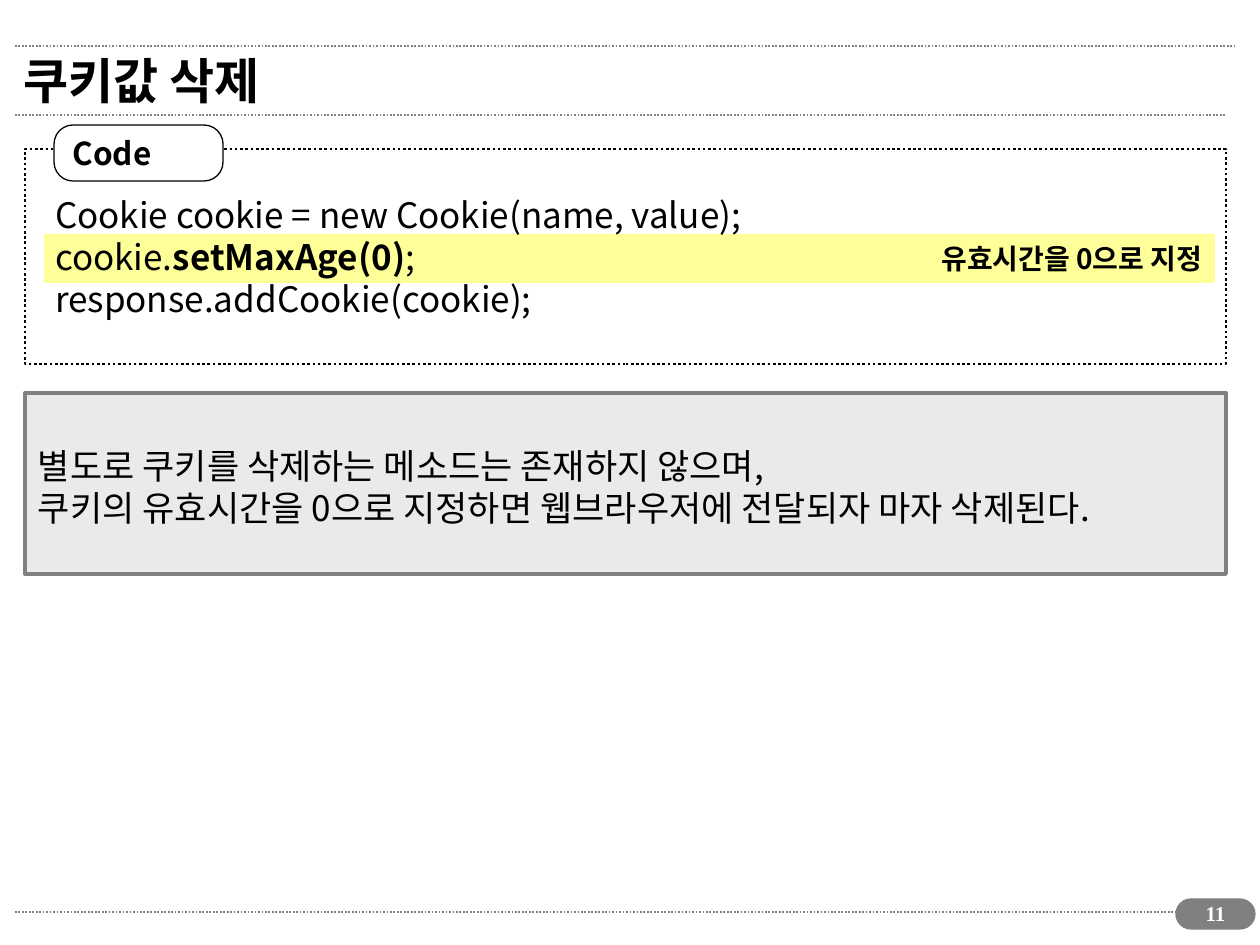
from lxml import etree
from pptx import Presentation
from pptx.dml.color import RGBColor
from pptx.enum.dml import MSO_LINE
from pptx.enum.shapes import MSO_CONNECTOR, MSO_SHAPE
from pptx.enum.text import MSO_ANCHOR, PP_ALIGN
from pptx.oxml.ns import qn
from pptx.util import Pt

PX = 914400 // 126
RECT, ROUND = MSO_SHAPE.RECTANGLE, MSO_SHAPE.ROUNDED_RECTANGLE
LEFT, MID, RIGHT = PP_ALIGN.LEFT, PP_ALIGN.CENTER, PP_ALIGN.RIGHT
TOP, CENTER = MSO_ANCHOR.TOP, MSO_ANCHOR.MIDDLE
DOTS = MSO_LINE.ROUND_DOT
STRAIGHT = MSO_CONNECTOR.STRAIGHT
SANS, SERIF = "Noto Sans CJK KR", "Times New Roman"
INK = {name: RGBColor.from_string(code) for name, code in {
    "black": "000000", "white": "FFFFFF", "gray": "808080",
    "pale": "EAEAEA", "yellow": "FFFF99"}.items()}


def write(shape, rows, size, bold=False, font=SANS, ink="black",
          align=LEFT, anchor=CENTER, pitch=None):
    """Fill a shape with rows, each a list of (text, bold) runs or a string."""
    frame = shape.text_frame
    frame.word_wrap = True
    frame.vertical_anchor = anchor
    frame.margin_left = frame.margin_right = 13 * PX
    # A fixed line pitch trims the first line, so the text moves down a little
    frame.margin_top, frame.margin_bottom = (9 * PX, 3 * PX) if pitch else (6 * PX, 6 * PX)
    for i, row in enumerate(rows):
        para = frame.add_paragraph() if i else frame.paragraphs[0]
        para.alignment = align
        if pitch:
            para.line_spacing = Pt(pitch)
        for text, heavy in [(row, bold)] if isinstance(row, str) else row:
            run = para.add_run()
            run.text = text
            run.font.size, run.font.bold = Pt(size), heavy
            run.font.color.rgb = INK[ink]
            run.font.name = font
            etree.SubElement(run.font._element, qn("a:ea"), typeface=font)


def block(kind, box, fill=None, line=None, width=1, curve=None):
    """Add a shape with its fill and outline."""
    shape = slide.shapes.add_shape(kind, *(n * PX for n in box))
    shape.shadow.inherit = False
    if curve:
        shape.adjustments[0] = curve
    if fill:
        shape.fill.solid()
        shape.fill.fore_color.rgb = INK[fill]
    else:
        shape.fill.background()
    if line:
        shape.line.color.rgb = INK[line]
        shape.line.width = Pt(width)
    else:
        shape.line.fill.background()
    return shape


deck = Presentation()
deck.slide_width, deck.slide_height = 1260 * PX, 945 * PX
slide = deck.slides.add_slide(deck.slide_layouts[5])

# Dotted rules
for y, end in ((912, 1226), (115, 1225), (46, 1235)):
    rule = slide.shapes.add_connector(STRAIGHT, 15 * PX, y * PX, end * PX, y * PX)
    rule.line.color.rgb = INK["gray"]
    rule.line.width = Pt(1)
    rule.line.dash_style = DOTS
    etree.SubElement(rule._element.spPr, qn("a:effectLst"))

# Title
title = slide.shapes.title
title.left, title.top, title.width, title.height = (n * PX for n in (10, 35, 1147, 90))
write(title, ["쿠키값 삭제"], 28, bold=True)

# Code panel: highlighted line, dotted frame, tab and code
mark = block(RECT, (44, 234, 1171, 49), fill="yellow")
write(mark, ["유효시간을 0으로 지정"], 16, bold=True, align=RIGHT)
panel = block(RECT, (25, 149, 1201, 215), line="black", width=1.5)
panel.line.dash_style = DOTS
tab = block(ROUND, (54, 125, 169, 56), "white", "black", 0.75, 0.34)
write(tab, ["Code"], 18, bold=True)
code = slide.shapes.add_textbox(*(n * PX for n in (42, 185, 1082, 139)))
write(code, ["Cookie cookie = new Cookie(name, value);",
             [("cookie.", False), ("setMaxAge(0)", True), (";", False)],
             "response.addCookie(cookie);"], 20, anchor=TOP, pitch=24)

# Explanation
note = block(RECT, (25, 393, 1201, 181), "pale", "gray", 2.25)
write(note, ["별도로 쿠키를 삭제하는 메소드는 존재하지 않으며,",
             "쿠키의 유효시간을 0으로 지정하면 웹브라우저에 전달되자 마자 삭제된다."],
      20, pitch=24)

# Page number
block(ROUND, (1176, 899, 79, 30), "gray", "gray", 0.75, 0.5)
page = slide.shapes.add_textbox(*(n * PX for n in (1181, 895, 69, 43)))
write(page, ["11"], 12, bold=True, font=SERIF, ink="white", align=MID, anchor=TOP)

deck.save("out.pptx")
